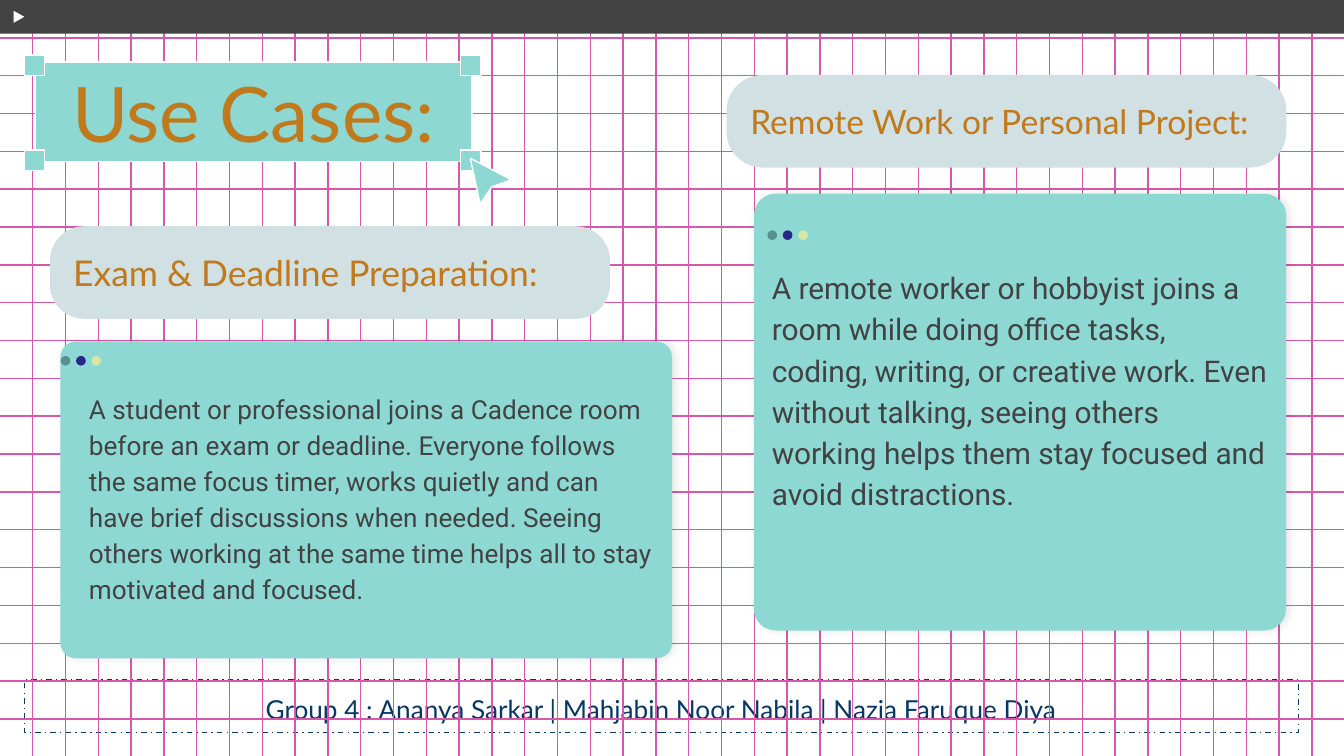
from dataclasses import dataclass

from pptx import Presentation
from pptx.dml.color import RGBColor as Rgb
from pptx.enum.dml import MSO_LINE as Dash
from pptx.enum.shapes import MSO_CONNECTOR as Conn, MSO_SHAPE as Kind
from pptx.enum.text import MSO_ANCHOR as Anchor, PP_ALIGN as Align
from pptx.oxml import parse_xml
from pptx.oxml.ns import nsdecls
from pptx.util import Pt

COLORS = {
    "ink": "424242", "white": "FFFFFF", "mint": "8DD8D3", "mist": "D0E0E3",
    "ochre": "C0791B", "navy": "073763", "pink": "D558AB",
    "teal": "599191", "blue": "27278B", "lime": "D7E6A3",
}
WIDTH, HEIGHT = 720, 405
COL_GAP, ROW_GAP = 17.57, 20.27
EDGE = 0.75


@dataclass
class Box:
    x: float
    y: float
    w: float
    h: float


@dataclass
class Label:
    text: str
    box: Box
    size: int
    bend: float


@dataclass
class Card:
    text: str
    box: Box
    body: Box
    size: int
    dots: tuple[float, float]


LABELS = [
    Label("Exam & Deadline Preparation:", Box(26.8, 121.2, 300, 49.6), 19, 0.37),
    Label("Remote Work or Personal Project:", Box(389.2, 40.2, 300, 49.6), 18, 0.39),
]
CARDS = [
    Card("A remote worker or hobbyist joins a room while doing office tasks, "
         "coding, writing, or creative work. Even without talking, seeing others "
         "working helps them stay focused and avoid distractions.",
         Box(403.9, 103.8, 285.1, 234), Box(406.4, 134.6, 280, 180), 16, (411.1, 123.4)),
    Card("A student or professional joins a Cadence room before an exam or deadline. "
         "Everyone follows the same focus timer, works quietly and can have brief "
         "discussions when needed. Seeing others working at the same time helps all "
         "to stay motivated and focused.",
         Box(32.4, 182.9, 327.6, 169.9), Box(40.6, 200.9, 319.4, 129), 14, (32.5, 190.7)),
]


def rgb(name: str) -> Rgb:
    return Rgb.from_string(COLORS[name])


def paint(item, fill: str | None, line: str | None = None) -> None:
    item.shadow.inherit = False
    if fill:
        item.fill.solid()
        item.fill.fore_color.rgb = rgb(fill)
    else:
        item.fill.background()
    if line:
        item.line.color.rgb = rgb(line)
        item.line.width = Pt(EDGE)
    else:
        item.line.fill.background()


def draw(slide, kind: Kind, box: Box, fill: str | None, line: str | None = None,
         bend: float | None = None):
    item = slide.shapes.add_shape(kind, Pt(box.x), Pt(box.y), Pt(box.w), Pt(box.h))
    paint(item, fill, line)
    if bend is not None:
        item.adjustments[0] = bend
    return item


def write(item, text: str, *, size: int, color: str, font: str = "Lato",
          align: Align = Align.LEFT, anchor: Anchor = Anchor.MIDDLE,
          lead: float = 1.0) -> None:
    frame = item.text_frame
    frame.word_wrap = True
    frame.vertical_anchor = anchor
    frame.margin_left = frame.margin_right = Pt(7.2)
    frame.margin_top = frame.margin_bottom = Pt(7.2)
    para = frame.paragraphs[0]
    para.text = text
    para.alignment = align
    para.line_spacing = lead
    para.font.size = Pt(size)
    para.font.name = font
    para.font.color.rgb = rgb(color)


def rule(slide, x1: float, y1: float, x2: float, y2: float) -> None:
    item = slide.shapes.add_connector(Conn.STRAIGHT, Pt(x1), Pt(y1), Pt(x2), Pt(y2))
    item.line.color.rgb = rgb("pink")
    item.line.width = Pt(EDGE)
    item._element.spPr.append(parse_xml(f"<a:effectLst {nsdecls('a')}/>"))


def shade(item) -> None:
    props = item._element.spPr
    props.remove(props.find("{*}effectLst"))
    props.append(parse_xml(
        f"<a:effectLst {nsdecls('a')}>"
        f'<a:outerShdw blurRad="{Pt(4.5)}" dist="{Pt(1.5)}" dir="0" algn="bl" rotWithShape="0">'
        '<a:srgbClr val="000000"><a:alpha val="10000"/></a:srgbClr>'
        "</a:outerShdw></a:effectLst>"))


def draw_grid(slide) -> None:
    for row in range(19, 0, -1):
        rule(slide, 0, row * ROW_GAP, WIDTH, row * ROW_GAP)
    for col in range(40, 0, -1):
        rule(slide, col * COL_GAP, 0, col * COL_GAP, HEIGHT)


def draw_title(slide) -> None:
    plate = draw(slide, Kind.RECTANGLE, Box(18.9, 33.3, 234, 53.3), "mint", "white")
    write(plate, "Use Cases:", size=41, color="ochre", align=Align.CENTER)
    for x in (13, 246.7):
        for y in (29.6, 80.3):
            draw(slide, Kind.RECTANGLE, Box(x, y, 11, 11), "mint", "white")
    tip, *rest = [(Pt(x), Pt(y)) for x, y in
                  ((252, 84.8), (257.2, 109.2), (263.5, 100.1), (274, 96.3))]
    build = slide.shapes.build_freeform(*tip)
    build.add_line_segments(rest, close=True)
    paint(build.convert_to_shape(), "mint", "white")


def draw_card(slide, card: Card) -> None:
    shade(draw(slide, Kind.ROUNDED_RECTANGLE, card.box, "mint", bend=0.05))
    x, y = card.dots
    for i, color in enumerate(("teal", "blue", "lime")):
        draw(slide, Kind.OVAL, Box(x + i * 8.25, y, 5.2, 5.2), color)


def draw_body(slide, card: Card) -> None:
    box = card.body
    item = slide.shapes.add_textbox(Pt(box.x), Pt(box.y), Pt(box.w), Pt(box.h))
    write(item, card.text, size=card.size, color="ink", font="Roboto",
          anchor=Anchor.TOP, lead=1.15)


def draw_label(slide, label: Label) -> None:
    item = draw(slide, Kind.ROUNDED_RECTANGLE, label.box, "mist", bend=label.bend)
    write(item, label.text, size=label.size, color="ochre")


def main() -> None:
    deck = Presentation()
    deck.slide_width, deck.slide_height = Pt(WIDTH), Pt(HEIGHT)
    slide = deck.slides.add_slide(deck.slide_layouts[6])
    slide.background.fill.solid()
    slide.background.fill.fore_color.rgb = rgb("white")

    foot = draw(slide, Kind.RECTANGLE, Box(13, 364.3, 682.5, 28.1), None, "navy")
    foot.line.dash_style = Dash.DASH_DOT
    write(foot, "Group 4 : Ananya Sarkar | Mahjabin Noor Nabila | Nazia Faruque Diya",
          size=14, color="navy", align=Align.CENTER, anchor=Anchor.TOP)
    draw_grid(slide)
    draw(slide, Kind.RECTANGLE, Box(0, 0, WIDTH, 18), "ink")
    play = draw(slide, Kind.ISOSCELES_TRIANGLE, Box(6.5, 5.5, 7.9, 7), "white", "ink")
    play.rotation = 90
    draw_title(slide)
    for card in CARDS:
        draw_card(slide, card)
    for card in reversed(CARDS):
        draw_body(slide, card)
    for label in LABELS:
        draw_label(slide, label)
    deck.save("out.pptx")


if __name__ == "__main__":
    main()
